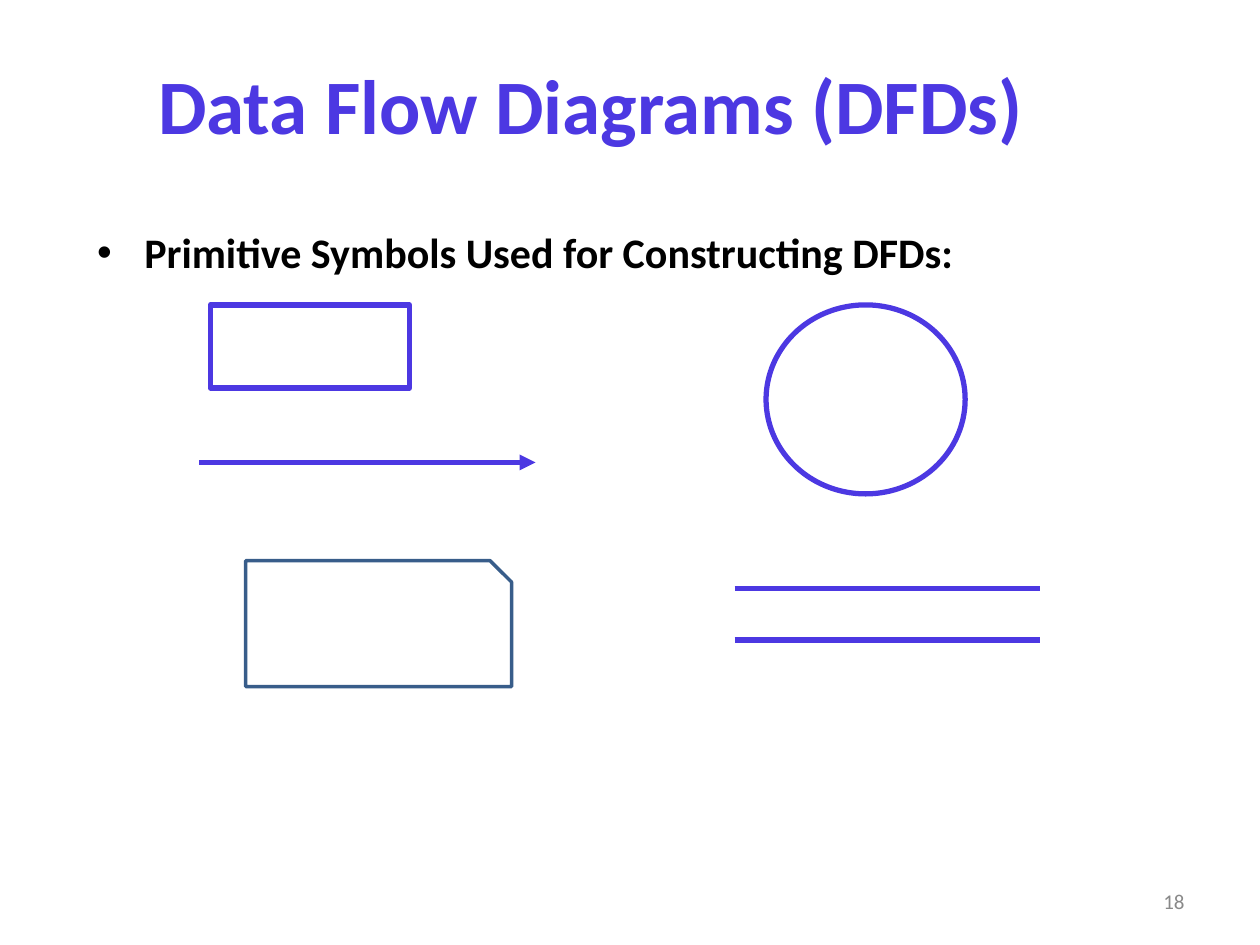
from dataclasses import dataclass

from pptx import Presentation
from pptx.dml.color import RGBColor
from pptx.enum.shapes import MSO_CONNECTOR, MSO_SHAPE
from pptx.enum.text import MSO_ANCHOR, MSO_AUTO_SIZE, PP_ALIGN
from pptx.oxml.ns import qn
from pptx.util import Inches, Pt
from lxml.etree import SubElement


@dataclass(frozen=True)
class Theme:
    accent: RGBColor = RGBColor(0x4C, 0x38, 0xE2)
    outline: RGBColor = RGBColor(0x38, 0x5D, 0x8A)
    text: RGBColor = RGBColor(0, 0, 0)
    muted: RGBColor = RGBColor(0x89, 0x89, 0x89)
    paper: RGBColor = RGBColor(0xFF, 0xFF, 0xFF)
    font: str = "Calibri"
    title_size: int = 44
    body_size: int = 24
    number_size: int = 12
    symbol_line: int = 3
    output_line: int = 2


@dataclass(frozen=True)
class Box:
    left: float
    top: float
    width: float
    height: float


@dataclass(frozen=True)
class Symbol:
    preset: MSO_SHAPE
    box: Box


@dataclass(frozen=True)
class Flow:
    left: float
    right: float
    y: float
    arrow: bool = False


THEME = Theme()
SYMBOLS = (
    Symbol(MSO_SHAPE.ROUNDED_RECTANGLE, Box(1.67, 2.42, 1.58, 0.66)),
    Symbol(MSO_SHAPE.OVAL, Box(6.08, 2.42, 1.58, 1.5)),
)
FLOWS = (
    Flow(1.58, 4.25, 3.67, arrow=True),
    Flow(5.83, 8.25, 4.67),
    Flow(5.83, 8.25, 5.08),
)
OUTPUT_BOX = Box(1.95, 4.45, 2.11, 1)
OUTPUT_CORNER = 0.17


def write_text(holder, box: Box, wording: str, size: int, color: RGBColor,
               bold: bool, side_inset: float, anchor: MSO_ANCHOR,
               align: PP_ALIGN) -> None:
    holder.left, holder.top = Inches(box.left), Inches(box.top)
    holder.width, holder.height = Inches(box.width), Inches(box.height)
    frame = holder.text_frame
    frame.text = wording
    frame.word_wrap = True
    frame.auto_size = MSO_AUTO_SIZE.NONE
    frame.vertical_anchor = anchor
    frame.margin_left = frame.margin_right = Inches(side_inset)
    frame.margin_top = frame.margin_bottom = Inches(0.05)
    paragraph = frame.paragraphs[0]
    paragraph.alignment = align
    paragraph.space_before = Pt(0)
    font = paragraph.runs[0].font
    font.name, font.size, font.bold = THEME.font, Pt(size), bold
    font.color.rgb = color


def draw_symbol(slide, symbol: Symbol) -> None:
    box = symbol.box
    shape = slide.shapes.add_shape(symbol.preset, Inches(box.left), Inches(box.top),
                                   Inches(box.width), Inches(box.height))
    if symbol.preset == MSO_SHAPE.ROUNDED_RECTANGLE:
        shape.adjustments[0] = 0
    shape.shadow.inherit = False
    shape.fill.background()
    shape.line.color.rgb = THEME.accent
    shape.line.width = Pt(THEME.symbol_line)


def draw_flow(slide, flow: Flow) -> None:
    connector = slide.shapes.add_connector(
        MSO_CONNECTOR.STRAIGHT, Inches(flow.left), Inches(flow.y),
        Inches(flow.right), Inches(flow.y))
    connector.line.color.rgb = THEME.accent
    connector.line.width = Pt(THEME.symbol_line)
    if flow.arrow:
        SubElement(connector.line._get_or_add_ln(), qn("a:tailEnd"), type="triangle")
    SubElement(connector._element.spPr, qn("a:effectLst"))


def draw_output(slide, box: Box, corner: float) -> None:
    right, bottom = box.left + box.width, box.top + box.height
    outline = [(right - corner, box.top), (right, box.top + corner),
               (right, bottom), (box.left, bottom)]
    builder = slide.shapes.build_freeform(Inches(box.left), Inches(box.top))
    builder.add_line_segments([(Inches(x), Inches(y)) for x, y in outline], close=True)
    output = builder.convert_to_shape()
    output.shadow.inherit = False
    output.fill.solid()
    output.fill.fore_color.rgb = THEME.paper
    output.line.color.rgb = THEME.outline
    output.line.width = Pt(THEME.output_line)


def main() -> None:
    presentation = Presentation()
    presentation.slide_width, presentation.slide_height = Inches(10), Inches(7.5)
    slide = presentation.slides.add_slide(presentation.slide_layouts[1])
    write_text(slide.shapes.title, Box(0.44, 0.2, 8.5, 1.25),
               "Data Flow Diagrams (DFDs)", THEME.title_size, THEME.accent,
               True, 0.02, MSO_ANCHOR.MIDDLE, PP_ALIGN.CENTER)
    write_text(slide.placeholders[1], Box(0.75, 1.75, 8.5, 4.5),
               "Primitive Symbols Used for Constructing DFDs:", THEME.body_size,
               THEME.text, True, 0.02, MSO_ANCHOR.TOP, PP_ALIGN.LEFT)
    page_number = slide.shapes.add_textbox(0, 0, 0, 0)
    write_text(page_number, Box(7.17, 6.95, 2.33, 0.4), "18", THEME.number_size,
               THEME.muted, False, 0.1, MSO_ANCHOR.MIDDLE, PP_ALIGN.RIGHT)
    for symbol in SYMBOLS:
        draw_symbol(slide, symbol)
    for flow in FLOWS:
        draw_flow(slide, flow)
    draw_output(slide, OUTPUT_BOX, OUTPUT_CORNER)
    presentation.save("out.pptx")


if __name__ == "__main__":
    main()
